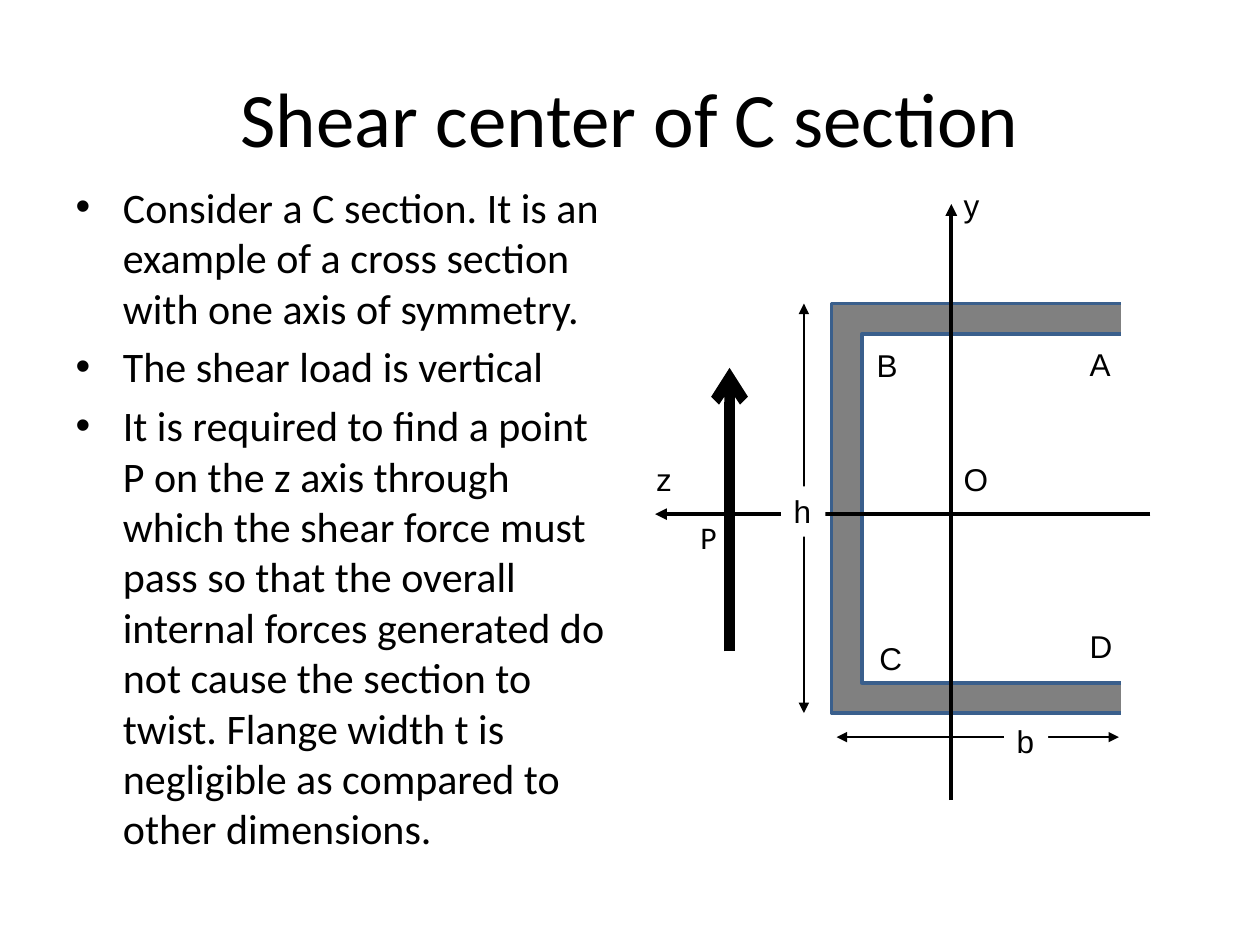
from dataclasses import dataclass

from lxml import etree
from pptx import Presentation
from pptx.dml.color import RGBColor
from pptx.enum.shapes import MSO_CONNECTOR, MSO_SHAPE
from pptx.enum.text import MSO_ANCHOR, MSO_AUTO_SIZE, PP_ALIGN
from pptx.oxml.ns import qn
from pptx.util import Pt

RECT, FRAME = MSO_SHAPE.RECTANGLE, MSO_SHAPE.FRAME
STRAIGHT = MSO_CONNECTOR.STRAIGHT
TOP, MIDDLE = MSO_ANCHOR.TOP, MSO_ANCHOR.MIDDLE
LEFT, CENTER = PP_ALIGN.LEFT, PP_ALIGN.CENTER
GROW, FIXED = MSO_AUTO_SIZE.SHAPE_TO_FIT_TEXT, MSO_AUTO_SIZE.NONE


@dataclass(frozen=True)
class Theme:
    ink: RGBColor = RGBColor(0x00, 0x00, 0x00)
    paper: RGBColor = RGBColor(0xFF, 0xFF, 0xFF)
    steel: RGBColor = RGBColor(0x80, 0x80, 0x80)
    edge: RGBColor = RGBColor(0x3A, 0x5F, 0x8C)
    text_font: str = "Calibri"
    label_font: str = "Arial"
    title_size: int = 44
    body_size: int = 24
    label_size: int = 18


class SlideBuilder:
    """Draws styled elements on one slide, with lengths in points."""

    def __init__(self, slide, theme):
        self.s = slide
        self.theme = theme

    def run(self, p, text, size, font):
        r = p.add_run()
        r.text = text
        r.font.size = Pt(size)
        r.font.name = font
        r.font.color.rgb = self.theme.ink

    def place(self, sp, x, y, w, h):
        sp.left, sp.top, sp.width, sp.height = Pt(x), Pt(y), Pt(w), Pt(h)

    def title(self, text, *box):
        sp = self.s.shapes.title
        self.place(sp, *box)
        tf = sp.text_frame
        tf.vertical_anchor = MIDDLE
        p = tf.paragraphs[0]
        p.alignment = CENTER
        self.run(p, text, self.theme.title_size, self.theme.text_font)

    def body(self, items, *box):
        sp = self.s.placeholders[1]
        self.place(sp, *box)
        tf = sp.text_frame
        tf.auto_size = FIXED
        for i, text in enumerate(items):
            p = tf.add_paragraph() if i else tf.paragraphs[0]
            p.space_before = Pt(0.2 * self.theme.body_size if i else 0)
            self.run(p, text, self.theme.body_size, self.theme.text_font)

    def shape(self, kind, x, y, w, h, fill, edge=None):
        sp = self.s.shapes.add_shape(kind, Pt(x), Pt(y), Pt(w), Pt(h))
        sp.shadow.inherit = False
        sp.fill.solid()
        sp.fill.fore_color.rgb = fill
        if edge is None:
            sp.line.fill.background()
        else:
            sp.line.color.rgb = edge
            sp.line.width = Pt(2)
        return sp

    def label(self, text, x, y):
        sp = self.shape(RECT, x, y, 25.2, 28.8, self.theme.paper)
        tf = sp.text_frame
        tf.word_wrap = True
        tf.auto_size = GROW
        tf.vertical_anchor = TOP
        p = tf.paragraphs[0]
        p.alignment = LEFT
        self.run(p, text, self.theme.label_size, self.theme.label_font)

    def note(self, text, x, y, w, h):
        tf = self.s.shapes.add_textbox(Pt(x), Pt(y), Pt(w), Pt(h)).text_frame
        tf.word_wrap = False
        tf.auto_size = GROW
        self.run(tf.paragraphs[0], text, self.theme.label_size, self.theme.text_font)

    def arrow(self, start, end, width, head=None, tail="triangle"):
        points = [Pt(v) for v in (*start, *end)]
        line = self.s.shapes.add_connector(STRAIGHT, *points)
        line.line.color.rgb = self.theme.ink
        line.line.width = Pt(width)
        ln = line.line._get_or_add_ln()
        for tag, kind in (("a:headEnd", head), ("a:tailEnd", tail)):
            if kind:
                etree.SubElement(ln, qn(tag)).set("type", kind)
        etree.SubElement(line._element.spPr, qn("a:effectLst"))


def main():
    prs = Presentation()
    prs.slide_width, prs.slide_height = Pt(720), Pt(540)
    theme = Theme()
    s = SlideBuilder(prs.slides.add_slide(prs.slide_layouts[1]), theme)

    s.title("Shear center of C section", 36, 21.6, 648, 90)
    s.body([
        "Consider a C section. It is an example of a cross section with one "
        "axis of symmetry.",
        "The shear load is vertical",
        "It is required to find a point P on the z axis through which the shear "
        "force must pass so that the overall internal forces generated do not "
        "cause the section to twist. Flange width t is negligible as compared "
        "to other dimensions.",
    ], 36, 100, 324, 408)

    axis_x, axis_y = 543.6, 293.8
    top, bottom = 173.5, 407.5
    height_x, width_y, load_x = 459.4, 421.2, 416.9

    for text, x, y in [
        ("O", axis_x, 259.2), ("B", 493.9, 194.4), ("A", 615.6, 193.7),
        ("C", 495.4, 361.4), ("y", axis_x, 103), ("z", 367.9, 259.2),
    ]:
        s.label(text, x, y)

    section = s.shape(FRAME, 475.2, top, 192.2, bottom - top, theme.steel, theme.edge)
    section.adjustments[0] = 0.09
    s.shape(RECT, 641.5, top - 10, 36, bottom - top + 18, theme.paper, theme.paper)

    s.arrow((axis_x, 457.2), (axis_x, 116.6), 2.25)
    s.arrow((657.4, axis_y), (374.4, axis_y), 2.25)
    s.arrow((height_x, top), (height_x, bottom), 1.5, head="triangle")
    s.arrow((639.4, width_y), (478.1, width_y), 1.5, head="triangle")

    for text, x, y in [("b", 573.8, 409), ("h", 446.4, 277.9), ("D", 615.6, 355)]:
        s.label(text, x, y)

    s.arrow((load_x, 372.2), (load_x, 210.2), 6, tail="arrow")
    s.note("P", 393.1, 292.3, 23.8, 28.8)

    prs.save("out.pptx")


if __name__ == "__main__":
    main()
